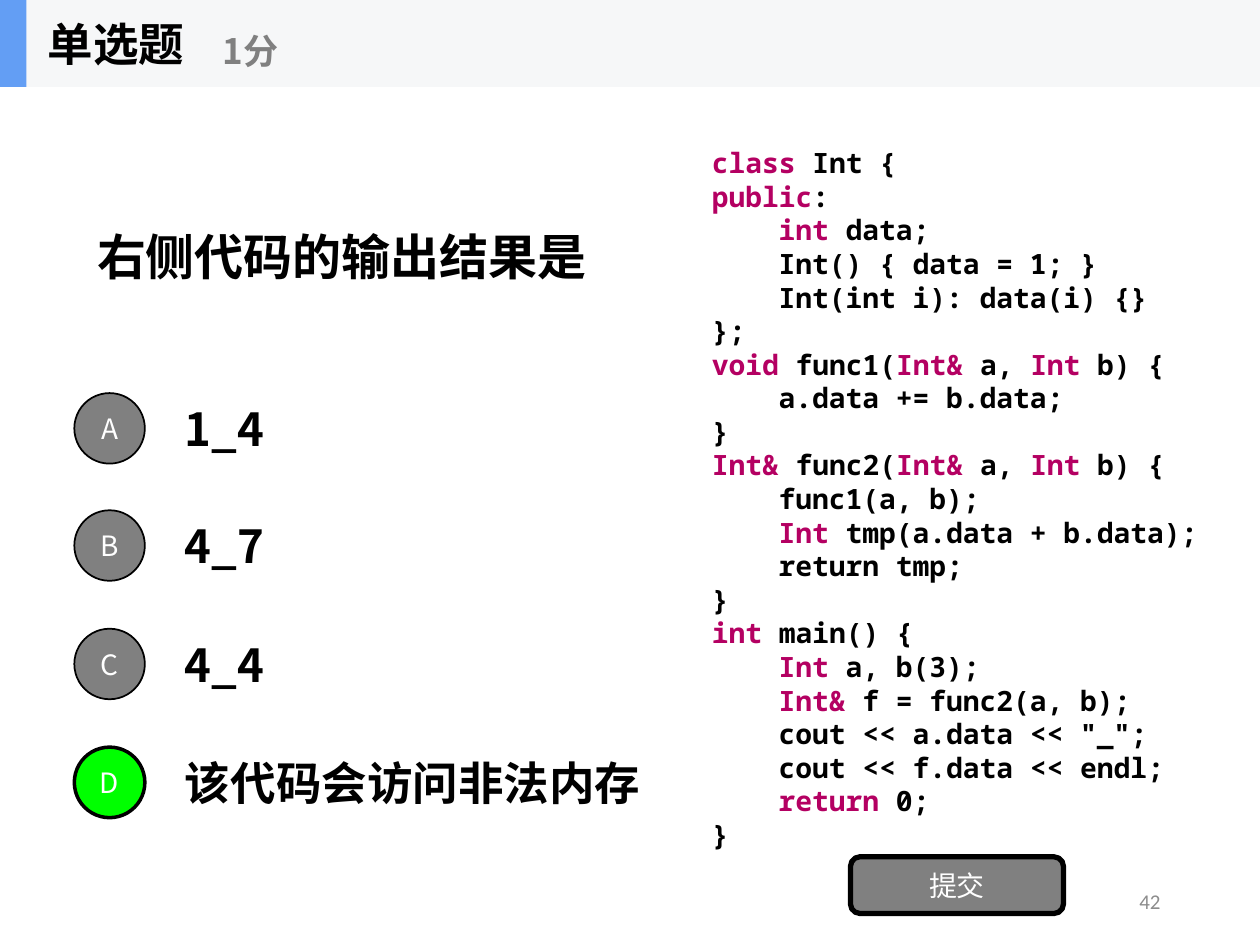
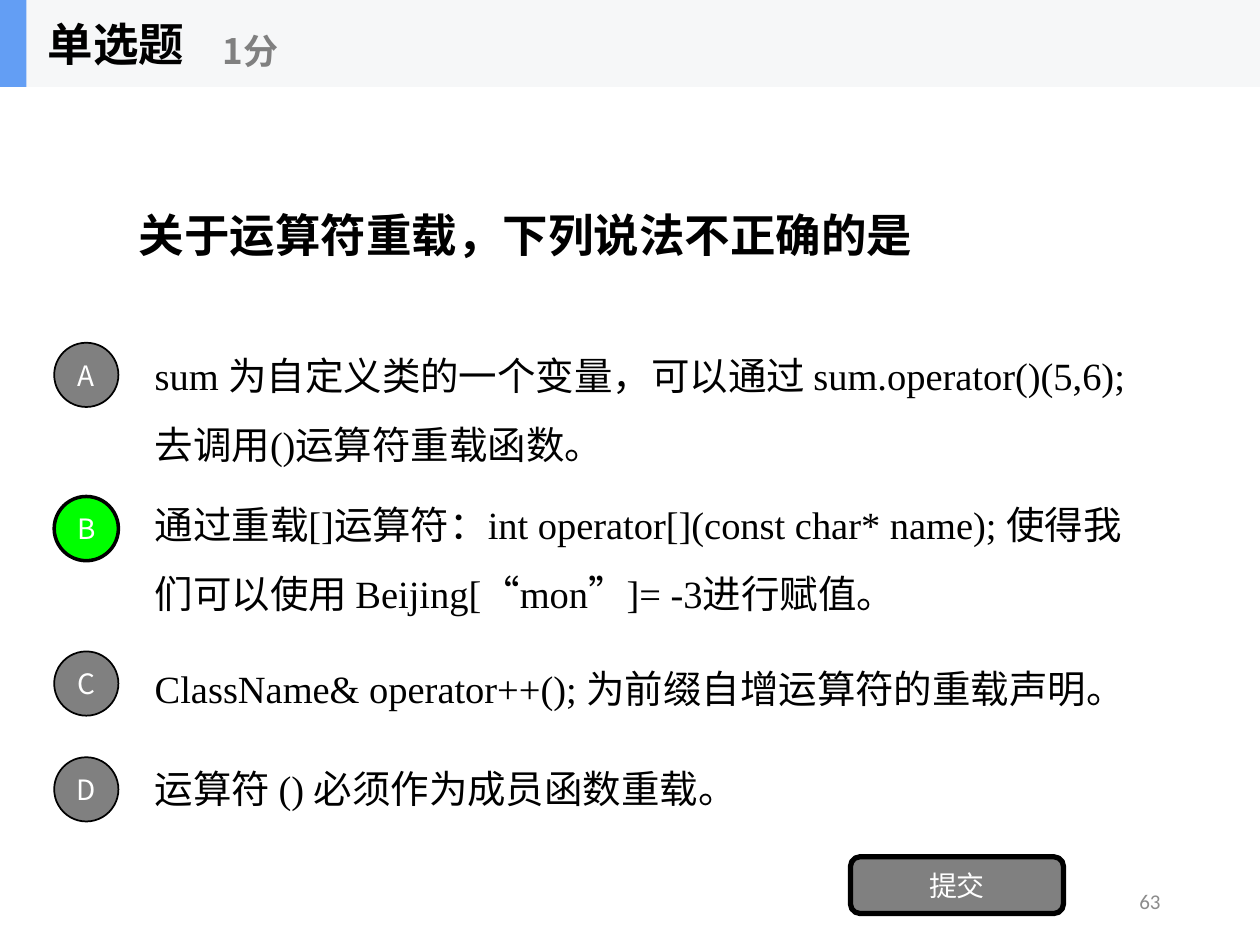
from dataclasses import dataclass

from lxml.etree import SubElement
from pptx import Presentation
from pptx.dml.color import RGBColor
from pptx.enum.lang import MSO_LANGUAGE_ID
from pptx.enum.shapes import MSO_SHAPE
from pptx.enum.text import MSO_ANCHOR, MSO_AUTO_SIZE, PP_ALIGN
from pptx.oxml.ns import qn
from pptx.util import Pt

SCALE = 9144  # EMU in one px, 100 px to the inch
INDENT = 53   # one code level, four letters wide


@dataclass(frozen=True)
class Theme:
    ink: str = "000000"
    paper: str = "FFFFFF"
    gray: str = "808080"
    pale: str = "8C8C8C"
    band: str = "F6F7F8"
    accent: str = "639EF4"
    right: str = "00FF00"
    keyword: str = "B40062"
    sans: str = "Noto Sans CJK SC"
    mono: str = "Noto Sans Mono"
    latin: str = "Calibri"
    serif: str = "Times New Roman"
    head: int = 26
    ask: int = 28
    choice: int = 22
    score: int = 20
    label: int = 16
    foot: int = 12


T = Theme()
HEAD = dict(size=T.head, name=T.sans, color=T.ink, bold=True)
ASK = dict(HEAD, size=T.ask, name=T.latin)
SCORE = dict(HEAD, size=T.score, color=T.gray)
LABEL = dict(size=T.label, name=T.sans, color=T.paper, bold=False)
CODE = dict(size=T.label, name=T.mono, color=T.ink, bold=True)
CHOICE = dict(size=T.choice, name=T.serif, color=T.ink, bold=False)
FOOT = dict(size=T.foot, name=T.latin, color=T.pale, bold=False)

# Backquotes enclose the words that take the keyword colour.
SOURCE = """\
`class` Int {
`public`:
    `int` data;
    Int() { data = 1; }
    Int(int i): data(i) {}
};
`void` func1(`Int& `a, `Int` b) {
    a.data += b.data;
}
`Int& `func2(`Int& `a, `Int` b) {
    func1(a, b);
    `Int` tmp(a.data + b.data);
    return tmp;
}
`int` main() {
    `Int` a, b(3);
    `Int& `f = func2(a, b);
    cout << a.data << "_";
    cout << f.data << endl;
    `return` 0;
}"""

SHORT = ["1_4", "4_7", "4_4", "该代码会访问非法内存"]
LONG = [  # circle top, text top, lines
    (272, 281, "sum 为自定义类的一个变量，可以通过 sum.operator()(5,6);\n"
               "去调用()运算符重载函数。"),
    (394, 399, "通过重载[]运算符：int operator[](const char* name); 使得我\n"
               "们可以使用 Beijing[“mon”]= -3进行赋值。"),
    (517, 502, "ClassName& operator++(); 为前缀自增运算符的重载声明。"),
    (601, 581, "运算符 () 必须作为成员函数重载。"),
]


def assign(thing, values):
    for key, value in values.items():
        setattr(thing, key, value)


def px(*sizes):
    return [size * SCALE for size in sizes]


def place(shape, box):
    assign(shape, dict(zip(("left", "top", "width", "height"), px(*box))))


def add_run(para, text, style):
    run = para.add_run()
    run.text = text
    font = run.font
    values = dict(style, size=Pt(style["size"]),
                  language_id=MSO_LANGUAGE_ID.SIMPLIFIED_CHINESE)
    font.color.rgb = RGBColor.from_string(values.pop("color"))
    assign(font, values)
    face = T.mono if style["name"] == T.mono else T.sans
    SubElement(run._r.get_or_add_rPr(), qn("a:ea"), typeface=face)


def write(shape, text, style, align=PP_ALIGN.LEFT, space=1.0, wrap=True,
          anchor=MSO_ANCHOR.MIDDLE, fit=MSO_AUTO_SIZE.NONE):
    """Fill a shape line by line; leading spaces become a margin."""
    frame = shape.text_frame
    assign(frame, dict(word_wrap=wrap, vertical_anchor=anchor, auto_size=fit))
    for index, line in enumerate(text.split("\n")):
        para = frame.add_paragraph() if index else frame.paragraphs[0]
        assign(para, dict(alignment=align, line_spacing=space,
                          space_before=Pt(0), space_after=Pt(0)))
        bare = line.lstrip()
        props = para._p.get_or_add_pPr()
        level = (len(line) - len(bare)) // 4
        assign_xml = dict(marL=level * INDENT * SCALE, indent=0)
        for key, value in assign_xml.items():
            props.set(key, str(value))
        SubElement(props, qn("a:buNone"))
        for part, words in enumerate(bare.split("`")):
            if words:
                tint = dict(style, color=T.keyword) if part % 2 else style
                add_run(para, words, tint)


def add_text(shapes, box, text, style, **format):
    write(shapes.add_textbox(*px(*box)), text, style, **format)


def add_block(shapes, kind, box, fill, line=0):
    shape = shapes.add_shape(kind, *px(*box))
    shape.shadow.inherit = False
    shape.fill.solid()
    shape.fill.fore_color.rgb = RGBColor.from_string(fill)
    if line:
        shape.line.color.rgb = RGBColor.from_string(T.ink)
        shape.line.width = Pt(line)
    else:
        shape.line.fill.background()
    return shape


def add_header(slide):
    group = slide.shapes.add_group_shape().shapes
    add_block(group, MSO_SHAPE.RECTANGLE, (0, 0, 1000, 69), T.band)
    add_block(group, MSO_SHAPE.RECTANGLE, (0, 0, 21, 69), T.accent)
    add_text(group, (28, 0, 208, 69), "单选题", HEAD, wrap=False)
    add_text(group, (167, 12, 250, 56), "1分", SCORE, wrap=False)


def add_badge(slide, letter, left, top, size, right):
    fill, line = (T.right, 2) if right else (T.gray, 1)
    badge = add_block(slide.shapes, MSO_SHAPE.OVAL,
                      (left, top, size, size), fill, line)
    write(badge, letter, LABEL, align=PP_ALIGN.CENTER)


def add_quiz(deck, layout, number):
    """Add a slide with the header, submit button and page number."""
    slide = deck.slides.add_slide(deck.slide_layouts[layout])
    add_header(slide)
    button = add_block(slide.shapes, MSO_SHAPE.ROUNDED_RECTANGLE,
                       (675, 680, 169, 45), T.gray, 3)
    write(button, "提交", LABEL, align=PP_ALIGN.CENTER)
    add_text(slide.shapes, (706, 695, 225, 40), number, FOOT,
             align=PP_ALIGN.RIGHT)
    return slide


def set_title(slide, box, text, style, **format):
    place(slide.shapes.title, box)
    write(slide.shapes.title, text, style, **format)


def add_output(deck):
    slide = add_quiz(deck, 1, "42")
    set_title(slide, (67, 175, 413, 57), "右侧代码的输出结果是", ASK, wrap=False,
              anchor=MSO_ANCHOR.TOP, fit=MSO_AUTO_SIZE.SHAPE_TO_FIT_TEXT)
    body = slide.placeholders[1]
    place(body, (555, 103, 413, 585))
    write(body, SOURCE, CODE)
    for index, (letter, text) in enumerate(zip("ABCD", SHORT)):
        top = 312 + index * 281 // 3
        add_badge(slide, letter, 59, top, 56, letter == "D")
        add_text(slide.shapes, (137, top - 7, 313, 70), text, HEAD, wrap=False)


def add_claims(deck):
    slide = add_quiz(deck, 5, "63")
    set_title(slide, (100, 69, 800, 234),
              "关于运算符重载，下列说法不正确的是", HEAD)
    for letter, (top, base, text) in zip("ABCD", LONG):
        add_badge(slide, letter, 43, top, 51, letter == "B")
        add_text(slide.shapes, (113, base, 840, 70), text, CHOICE,
                 space=1.5, wrap=False)


def main():
    deck = Presentation()
    deck.slide_width, deck.slide_height = px(1000, 750)
    add_output(deck)
    add_claims(deck)
    deck.save("out.pptx")


if __name__ == "__main__":
    main()
